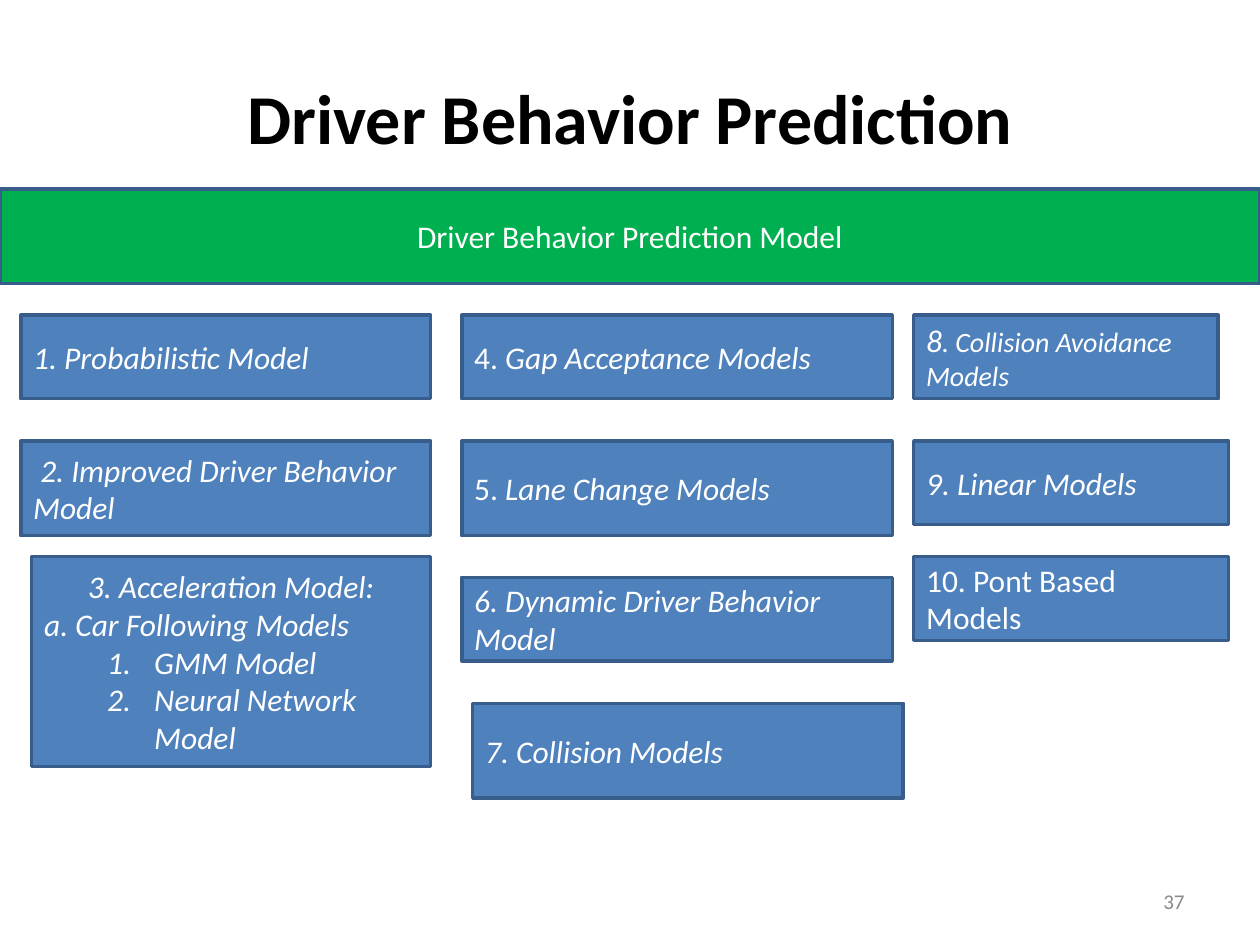
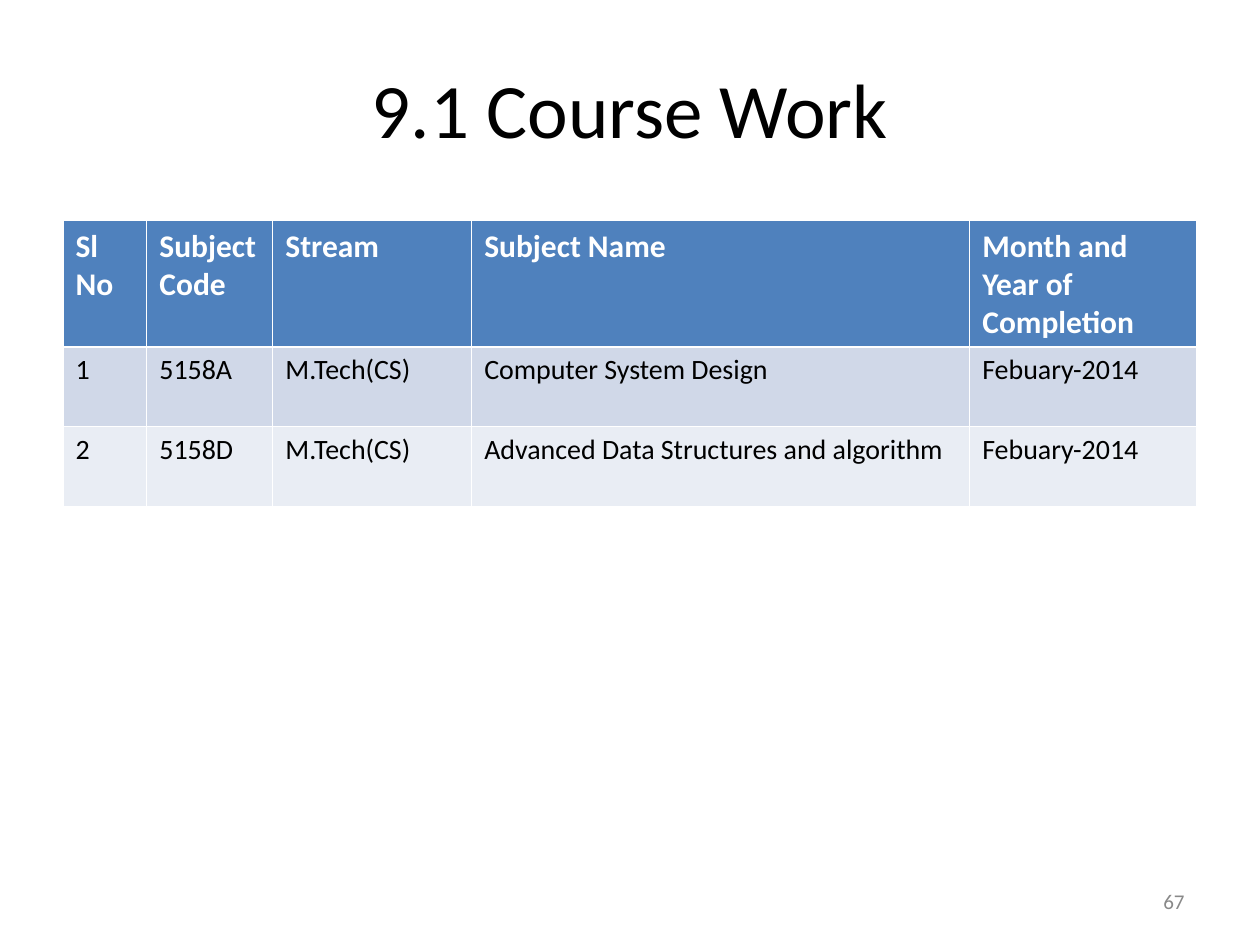
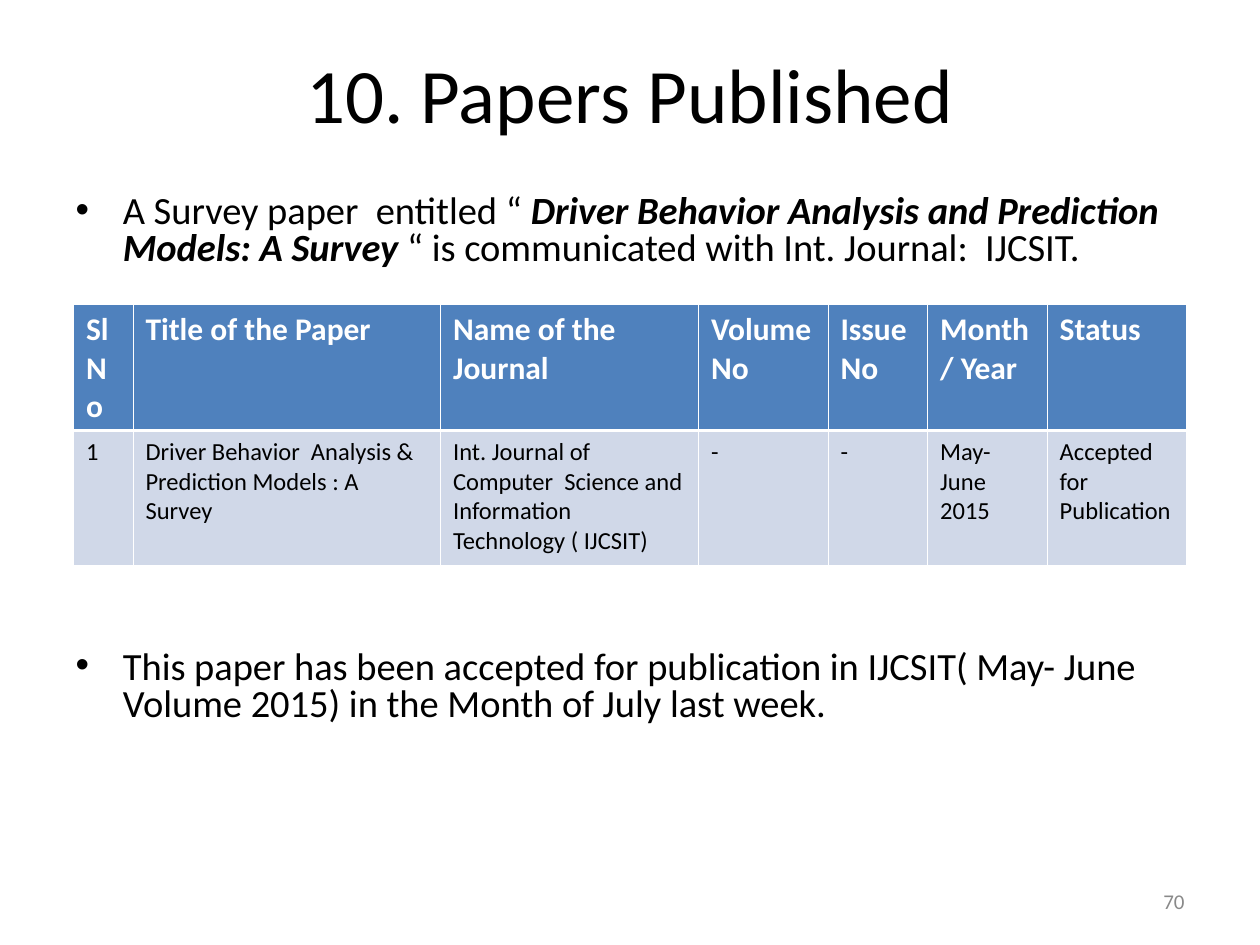
from lxml import etree
from pptx import Presentation
from pptx.dml.color import RGBColor
from pptx.enum import shapes, text
from pptx.oxml import ns
from pptx.util import Cm, Pt

FONT = "Calibri"
BLACK = RGBColor(0x00, 0x00, 0x00)
WHITE = RGBColor(0xFF, 0xFF, 0xFF)
GREY = RGBColor(0x89, 0x89, 0x89)
GREEN = RGBColor(0x00, 0xB0, 0x50)
BLUE = RGBColor(0x4F, 0x81, 0xBD)
OUTLINE = RGBColor(0x38, 0x5D, 0x8A)
BANDS = (RGBColor(0xD0, 0xD8, 0xE8), RGBColor(0xE9, 0xED, 0xF4))

LEFT, CENTER, RIGHT = text.PP_ALIGN.LEFT, text.PP_ALIGN.CENTER, text.PP_ALIGN.RIGHT
MARGIN, CONTENT_WIDTH = 1.27, 22.86
THIN, THICK = Pt(0.45), Pt(1.47)
TITLE_ONLY, TITLE_AND_LIST = 5, 1


def write(paragraph, words, size=18, color=WHITE, bold=False, italic=False, align=LEFT):
    """Append one formatted run to a paragraph."""
    paragraph.alignment = align
    run = paragraph.add_run()
    run.text = words
    font = run.font
    font.name, font.size, font.bold, font.italic = FONT, Pt(size), bold, italic
    font.color.rgb = color


def next_paragraph(frame):
    first = frame.paragraphs[0]
    return frame.add_paragraph() if first.runs else first


def number_paragraph(paragraph):
    properties = paragraph._p.get_or_add_pPr()
    properties.set("marL", str(Cm(2.22)))
    properties.set("indent", str(-Cm(0.95)))
    etree.SubElement(properties, ns.qn("a:buFont"), typeface="+mj-lt")
    etree.SubElement(properties, ns.qn("a:buAutoNum"), type="arabicPeriod")


def border_cell(cell, **widths):
    properties = cell._tc.get_or_add_tcPr()
    for side in "LRTB":
        line = etree.SubElement(properties, ns.qn(f"a:ln{side}"), w=str(widths.get(side, THIN)))
        fill = etree.SubElement(line, ns.qn("a:solidFill"))
        etree.SubElement(fill, ns.qn("a:srgbClr"), val=str(WHITE))


class Deck:
    def __init__(self):
        self.presentation = Presentation()
        self.presentation.slide_width = Cm(25.4)
        self.presentation.slide_height = Cm(19.05)
        self.slide = None

    def start(self, heading, number, height, layout=TITLE_ONLY, size=44, bold=False):
        """Add a slide with its title and page number."""
        self.slide = self.presentation.slides.add_slide(
            self.presentation.slide_layouts[layout])
        title = self.slide.shapes.title
        title.left, title.top = Cm(MARGIN), Cm(0.76)
        title.width, title.height = Cm(CONTENT_WIDTH), Cm(height)
        frame = title.text_frame
        frame.auto_size = text.MSO_AUTO_SIZE.NONE
        frame.vertical_anchor = text.MSO_ANCHOR.MIDDLE
        write(frame.paragraphs[0], heading, size, BLACK, bold, align=CENTER)

        page = self.slide.shapes.add_textbox(Cm(18.21), Cm(17.65), Cm(5.92), Cm(1.02)).text_frame
        page.word_wrap = True
        page.vertical_anchor = text.MSO_ANCHOR.MIDDLE
        write(page.paragraphs[0], str(number), 12, GREY, align=RIGHT)

    def box(self, left, top, width, height, fill=BLUE):
        """Add an outlined rectangle and return its text frame."""
        shape = self.slide.shapes.add_shape(
            shapes.MSO_SHAPE.RECTANGLE, Cm(left), Cm(top), Cm(width), Cm(height))
        shape.shadow.inherit = False
        shape.fill.solid()
        shape.fill.fore_color.rgb = fill
        shape.line.color.rgb = OUTLINE
        shape.line.width = Pt(2)
        frame = shape.text_frame
        frame.word_wrap = True
        frame.vertical_anchor = text.MSO_ANCHOR.MIDDLE
        return frame

    def bullets(self, items, top, height, gap):
        """Fill the list placeholder; each item is a list of (words, format)."""
        body = self.slide.placeholders[1]
        body.left, body.top = Cm(MARGIN), Cm(top)
        body.width, body.height = Cm(CONTENT_WIDTH), Cm(height)
        frame = body.text_frame
        frame.auto_size = text.MSO_AUTO_SIZE.NONE
        for index, item in enumerate(items):
            paragraph = next_paragraph(frame)
            paragraph.line_spacing = 0.8
            paragraph.space_before = Pt(gap if index else 0)
            for words, style in item:
                write(paragraph, words, 22, BLACK, **style)

    def table(self, rows, left, top, widths, heights, size):
        """Add a table with a blue header row and banded rows below it."""
        grid = self.slide.shapes.add_table(
            len(rows), len(widths), Cm(left), Cm(top),
            Cm(sum(widths)), Cm(sum(heights))).table
        for column, width in zip(grid.columns, widths):
            column.width = Cm(width)
        for r, (row, height) in enumerate(zip(rows, heights)):
            grid.rows[r].height = Cm(height)
            header = r == 0
            for c, words in enumerate(row):
                cell = grid.cell(r, c)
                border_cell(cell, T=THICK if r == 1 else THIN, B=THICK if header else THIN)
                cell.fill.solid()
                cell.fill.fore_color.rgb = BLUE if header else BANDS[(r - 1) % 2]
                for line in words.split("\n"):
                    write(next_paragraph(cell.text_frame), line, 18 if header else size,
                          WHITE if header else BLACK, bold=header)


def prediction_models(deck):
    deck.start("Driver Behavior Prediction", 37, 3.18, size=40, bold=True)
    banner = deck.box(0, 3.81, 25.4, 1.91, GREEN)
    write(banner.paragraphs[0], "Driver Behavior Prediction Model", align=CENTER)

    # Single-model boxes: left, top, width, height, number, name
    first, second, third = 0.42, 9.31, 18.42
    low, high = 1.69, 1.91
    upright, slanted, small = {}, {"italic": True}, {"italic": True, "size": 16}
    models = [
        (first, 6.35, 8.26, low, [("1. Probabilistic Model", slanted)]),
        (first, 8.89, 8.26, high, [(" 2. Improved Driver Behavior Model", slanted)]),
        (second, 6.35, 8.68, low, [("4. ", upright), ("Gap Acceptance Models", slanted)]),
        (second, 8.89, 8.68, high, [("5. ", upright), ("Lane Change Models", slanted)]),
        (second, 11.64, 8.68, low, [("6. Dynamic Driver Behavior Model", slanted)]),
        (9.53, 14.18, 8.68, high, [("7. Collision Models", slanted)]),
        (third, 6.35, 6.14, low, [("8", slanted), (". Collision Avoidance Models", small)]),
        (third, 8.89, 6.35, low, [("9. Linear Models", slanted)]),
        (third, 11.22, 6.35, low, [("10. Pont Based Models", upright)]),
    ]
    for left, top, width, height, runs in models:
        paragraph = deck.box(left, top, width, height).paragraphs[0]
        for words, style in runs:
            write(paragraph, words, **style)

    # Acceleration model with its numbered sub-models
    acceleration = deck.box(0.64, 11.22, 8.04, 4.23)
    write(next_paragraph(acceleration), "3. Acceleration Model:", italic=True, align=CENTER)
    write(next_paragraph(acceleration), "a. Car Following Models", italic=True)
    for name in ("GMM Model", "Neural Network Model"):
        sub_model = next_paragraph(acceleration)
        sub_model.level = 1
        number_paragraph(sub_model)
        write(sub_model, name, italic=True)


def course_work(deck):
    deck.start("9.1 Course Work", 67, 2.84)
    courses = [
        ("Sl No", "Subject Code", "Stream", "Subject Name", "Month and Year of Completion"),
        ("1", "5158A", "M.Tech(CS)", "Computer System Design", "Febuary-2014"),
        ("2", "5158D", "M.Tech(CS)", "Advanced Data Structures and algorithm", "Febuary-2014"),
    ]
    deck.table(courses, MARGIN, 4.45, (1.69, 2.54, 4.01, 10.04, 4.57), (2.54, 1.61, 1.61), 16)


def papers_published(deck):
    deck.start("10. Papers Published", 70, 2.21, TITLE_AND_LIST)
    deck.bullets([
        [("A Survey paper  entitled “ ", {}),
         ("Driver Behavior Analysis and Prediction Models: A Survey ",
          {"bold": True, "italic": True}),
         ("“ is communicated with Int. Journal:  IJCSIT.", {})],
        [("This paper has been accepted for publication in IJCSIT( May- June Volume 2015) "
          "in the Month of July last week.", {})],
    ], top=3.81, height=11.94, gap=218)
    papers = [
        ("Sl No", "Title of the Paper", "Name of the Journal", "Volume No", "Issue No",
         "Month / Year", "Status"),
        ("1", "Driver Behavior  Analysis & Prediction Models : A Survey",
         "Int. Journal of Computer  Science and Information Technology ( IJCSIT)",
         "-", "-", "May-June\n2015", "Accepted for Publication"),
    ]
    deck.table(papers, 1.48, 6.14, (1.2, 6.2, 5.2, 2.61, 2.01, 2.41, 2.8), (2.54, 2.72), 14)


def main():
    deck = Deck()
    prediction_models(deck)
    course_work(deck)
    papers_published(deck)
    deck.presentation.save("out.pptx")


if __name__ == "__main__":
    main()
